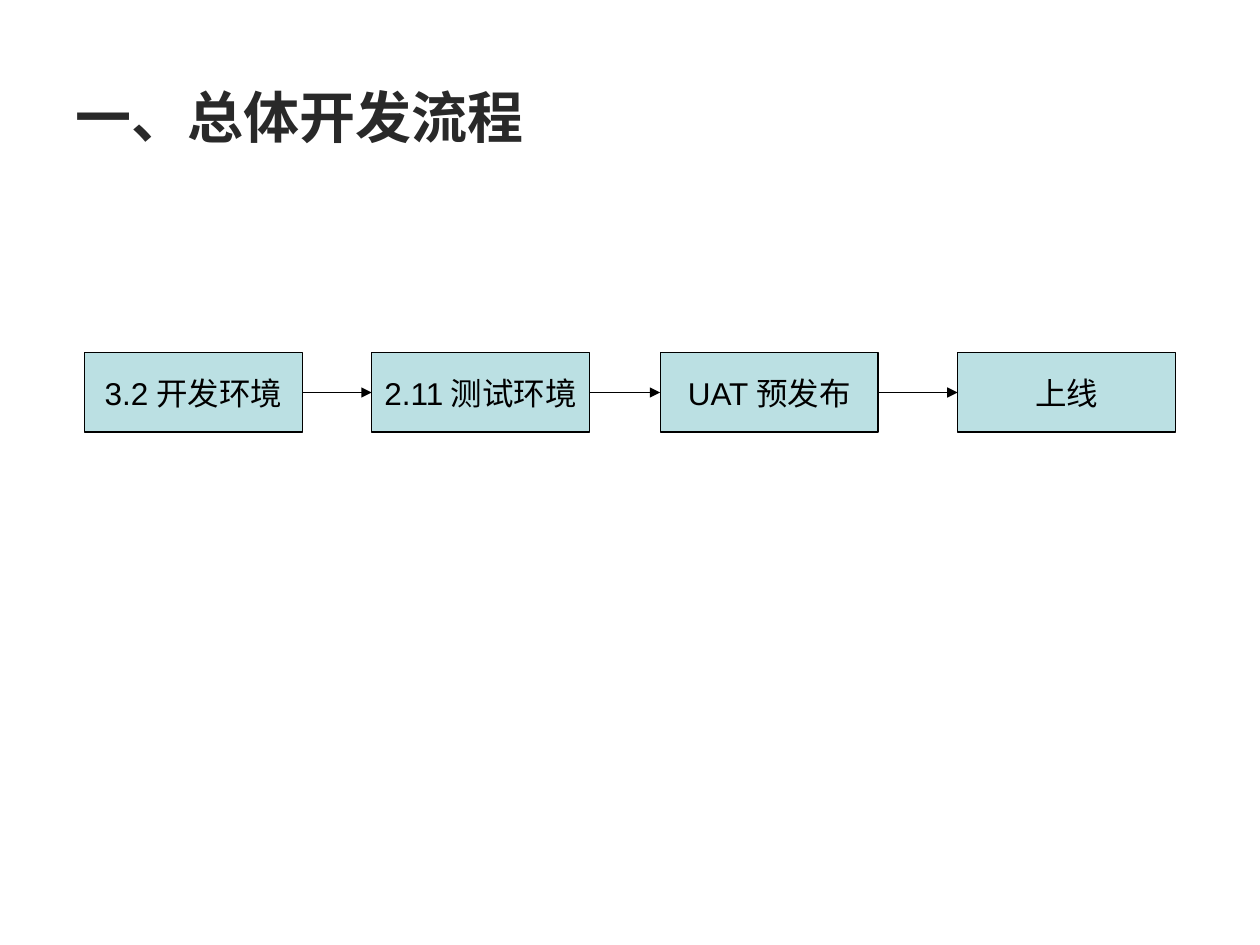
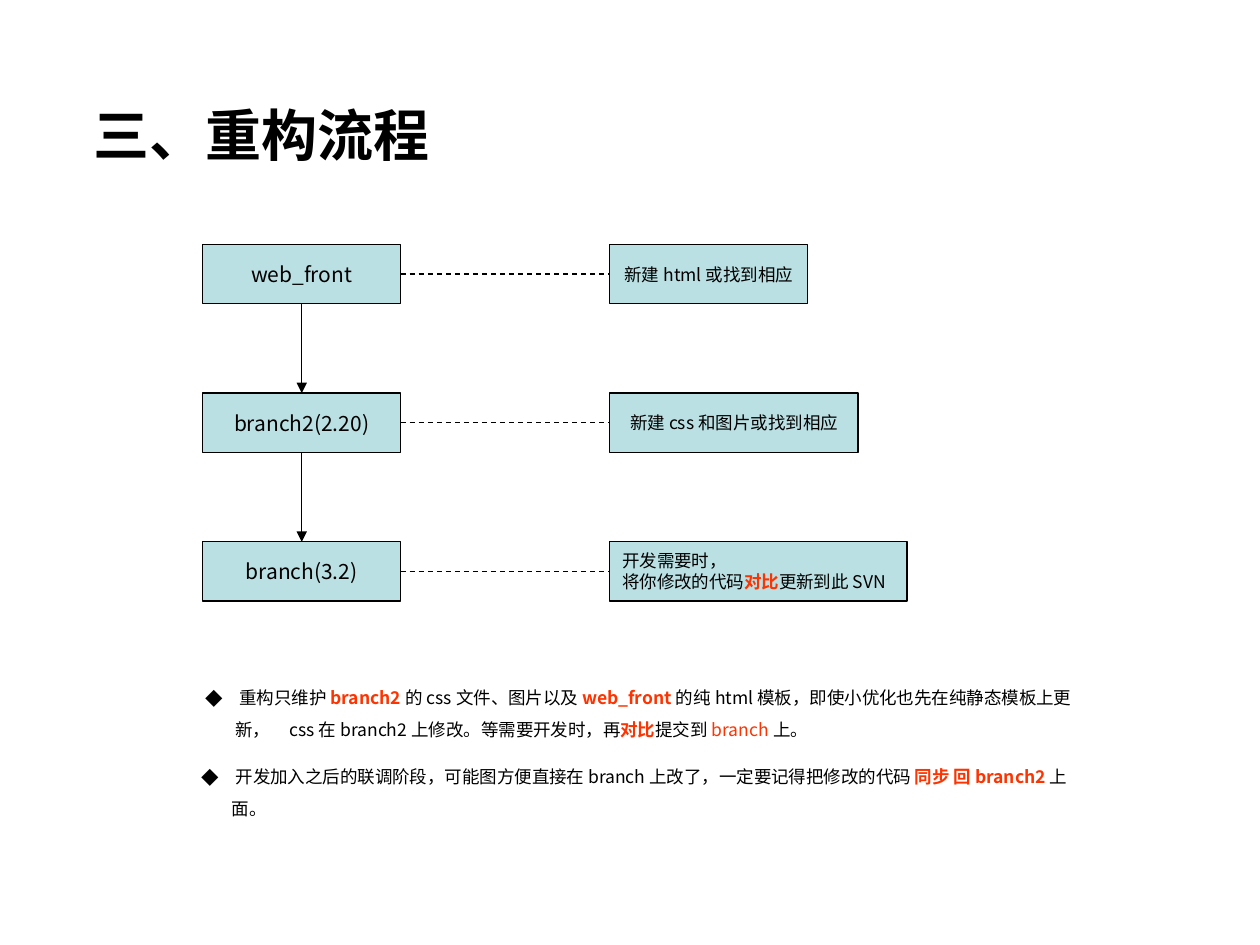
from lxml.etree import SubElement
from pptx import Presentation
from pptx.dml.color import RGBColor
from pptx.enum.dml import MSO_LINE_DASH_STYLE as Dash
from pptx.enum.shapes import MSO_CONNECTOR as Connector, MSO_SHAPE as Shape
from pptx.enum.text import MSO_ANCHOR as Anchor, PP_ALIGN as Align
from pptx.oxml.ns import qn
from pptx.util import Inches, Pt

COLORS = {"ink": "000000", "title": "292929", "box": "BBE0E3", "accent": "FF3300"}
ARIAL = "Arial"
NOTO = "Noto Sans CJK SC"
TOP, LEFT, BOTTOM, RIGHT = range(4)


def write(para, spans, size, font):
    for text, color, bold in spans:
        span = para.add_run()
        span.text = text
        span.font.size = Pt(size)
        span.font.name = font
        span.font.bold = bold
        span.font.color.rgb = RGBColor.from_string(COLORS[color])
        SubElement(span.font._element, qn("a:ea"), typeface=NOTO)


def link(page, start, start_side, end, end_side, dashed=False):
    line = page.shapes.add_connector(Connector.STRAIGHT, 0, 0, 0, 0)
    line.begin_connect(start, start_side)
    line.end_connect(end, end_side)
    line.line.width = Pt(0.75)
    line.line.color.rgb = RGBColor.from_string(COLORS["ink"])
    if dashed:
        line.line.dash_style = Dash.DASH
    else:
        SubElement(line.line._get_or_add_ln(), qn("a:tailEnd"), type="triangle")
    SubElement(line._element.spPr, qn("a:effectLst"))


deck = Presentation()
deck.slide_width = Inches(10)
deck.slide_height = Inches(7.5)
overview, refactoring = [deck.slides.add_slide(deck.slide_layouts[6]) for _ in range(2)]

titles = [
    (overview, 0.5, 0.3, "一、总体开发流程", "title"),
    (refactoring, 0.64, 0.44, "三、重构流程", "ink"),
]
for page, left, top, text, color in titles:
    title = page.shapes.add_textbox(Inches(left), Inches(top), Inches(9), Inches(1.25))
    title.text_frame.word_wrap = True
    title.text_frame.vertical_anchor = Anchor.MIDDLE
    write(title.text_frame.paragraphs[0], [(text, color, True)], 32, ARIAL)

stages = [(0.67, "3.2开发环境"), (2.95, "2.11测试环境"), (5.24, "UAT预发布"), (7.6, "上线")]
repositories = ["web_front", "branch2(2.20)", "branch(3.2)"]
tasks = [
    (1.57, Align.CENTER, [[("新建html或找到相应", "ink", False)]]),
    (1.97, Align.CENTER, [[("新建css和图片或找到相应", "ink", False)]]),
    (2.36, Align.LEFT, [
        [("开发需要时，", "ink", False)],
        [("将你修改的代码", "ink", False), ("对比", "accent", True), ("更新到此SVN", "ink", False)],
    ]),
]

specs = [
    (overview, left, 2.8, 1.73, 0.63, 18, ARIAL, Align.CENTER, [[(name, "ink", False)]])
    for left, name in stages
]
for row, (name, (width, align, lines)) in enumerate(zip(repositories, tasks)):
    top = 1.94 + row * 1.18
    specs.append((refactoring, 1.61, top, 1.57, 0.47, 12, NOTO, Align.CENTER, [[(name, "ink", False)]]))
    specs.append((refactoring, 4.84, top, width, 0.47, 10, NOTO, align, lines))

boxes = []
for page, left, top, width, height, size, font, align, lines in specs:
    box = page.shapes.add_shape(
        Shape.RECTANGLE, Inches(left), Inches(top), Inches(width), Inches(height)
    )
    box.shadow.inherit = False
    box.fill.solid()
    box.fill.fore_color.rgb = RGBColor.from_string(COLORS["box"])
    box.line.color.rgb = RGBColor.from_string(COLORS["ink"])
    box.line.width = Pt(0.75)
    frame = box.text_frame
    frame.word_wrap = False
    frame.vertical_anchor = Anchor.MIDDLE
    for index, spans in enumerate(lines):
        para = frame.add_paragraph() if index else frame.paragraphs[0]
        para.alignment = align
        write(para, spans, size, font)
    boxes.append(box)

stage_boxes = boxes[:len(stages)]
repository_boxes = boxes[len(stages)::2]
task_boxes = boxes[len(stages) + 1::2]

for start, end in zip(stage_boxes, stage_boxes[1:]):
    link(overview, start, RIGHT, end, LEFT)
for start, end in zip(repository_boxes, repository_boxes[1:]):
    link(refactoring, start, BOTTOM, end, TOP)
for start, end in zip(repository_boxes, task_boxes):
    link(refactoring, start, RIGHT, end, LEFT, dashed=True)

notes = [
    (1.53, 5.32, [
        (" 重构只维护", "ink", False),
        ("branch2", "accent", True),
        ("的css文件、图片以及", "ink", False),
        ("web_front", "accent", True),
        ("的纯html模板，即使小优化也先在纯静态模板上更新，\tcss在branch2上修改。等需要开发时，再", "ink", False),
        ("对比", "accent", True),
        ("提交到", "ink", False),
        ("branch", "accent", False),
        ("上。", "ink", False),
    ]),
    (1.5, 5.95, [
        (" 开发加入之后的联调阶段，可能图方便直接在branch上改了，一定要记得把修改的代码", "ink", False),
        (" 同步 回branch2", "accent", True),
        ("上面。", "ink", False),
    ]),
]
for left, top, spans in notes:
    note = refactoring.shapes.add_textbox(Inches(left), Inches(top), Inches(7.09), Inches(0.6))
    note.text_frame.word_wrap = True
    para = note.text_frame.paragraphs[0]
    para.line_spacing = 1.5
    props = para._p.get_or_add_pPr()
    props.set("marL", str(Inches(0.24)))
    props.set("indent", str(-Inches(0.24)))
    bullet_color = SubElement(props, qn("a:buClr"))
    SubElement(bullet_color, qn("a:srgbClr"), val=COLORS["ink"])
    SubElement(props, qn("a:buFont"), typeface=NOTO)
    SubElement(props, qn("a:buChar"), char="◆")
    tabs = SubElement(props, qn("a:tabLst"))
    SubElement(tabs, qn("a:tab"), pos=str(Inches(0.67)), algn="l")
    write(para, spans, 10, NOTO)

deck.save("out.pptx")
